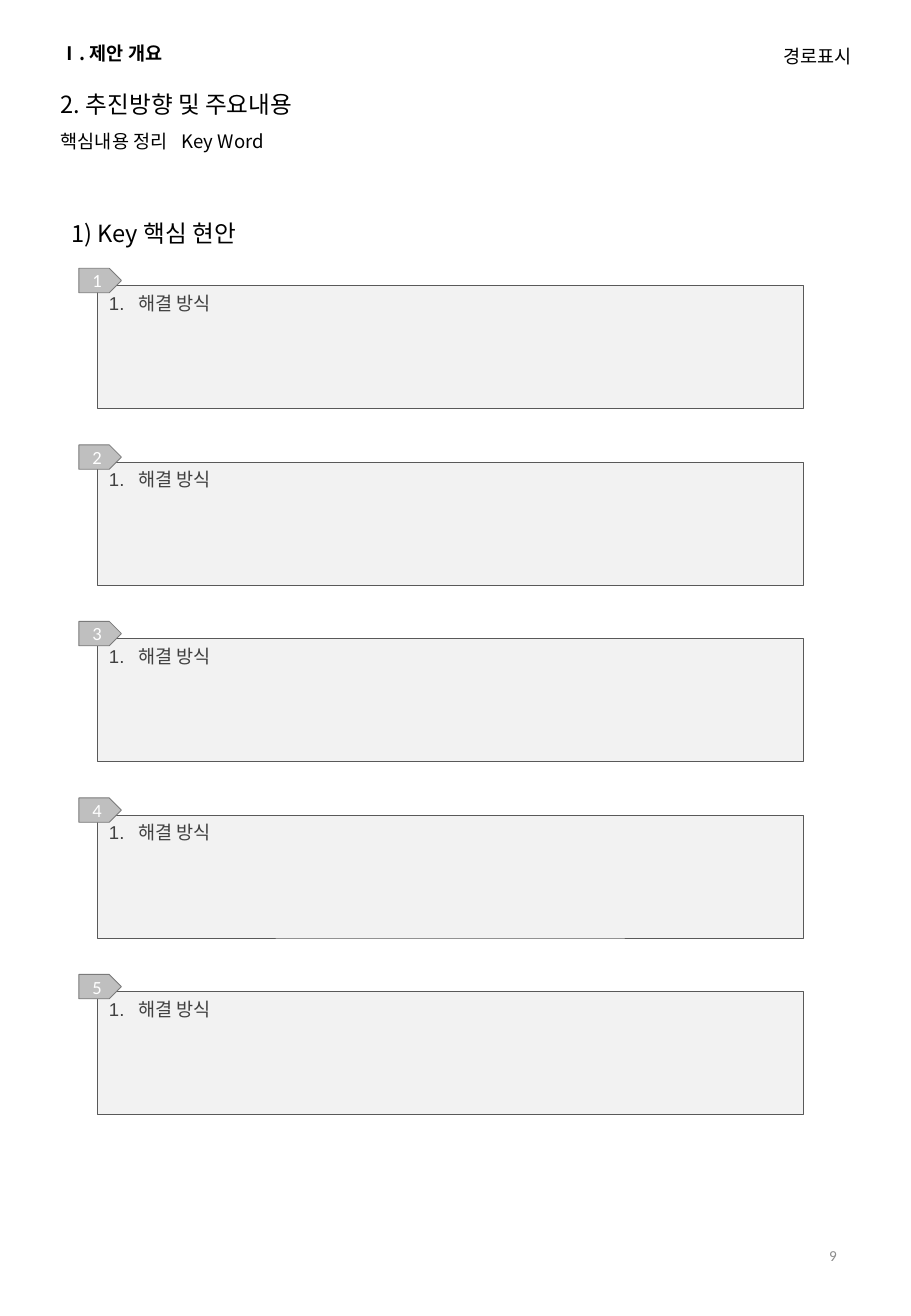
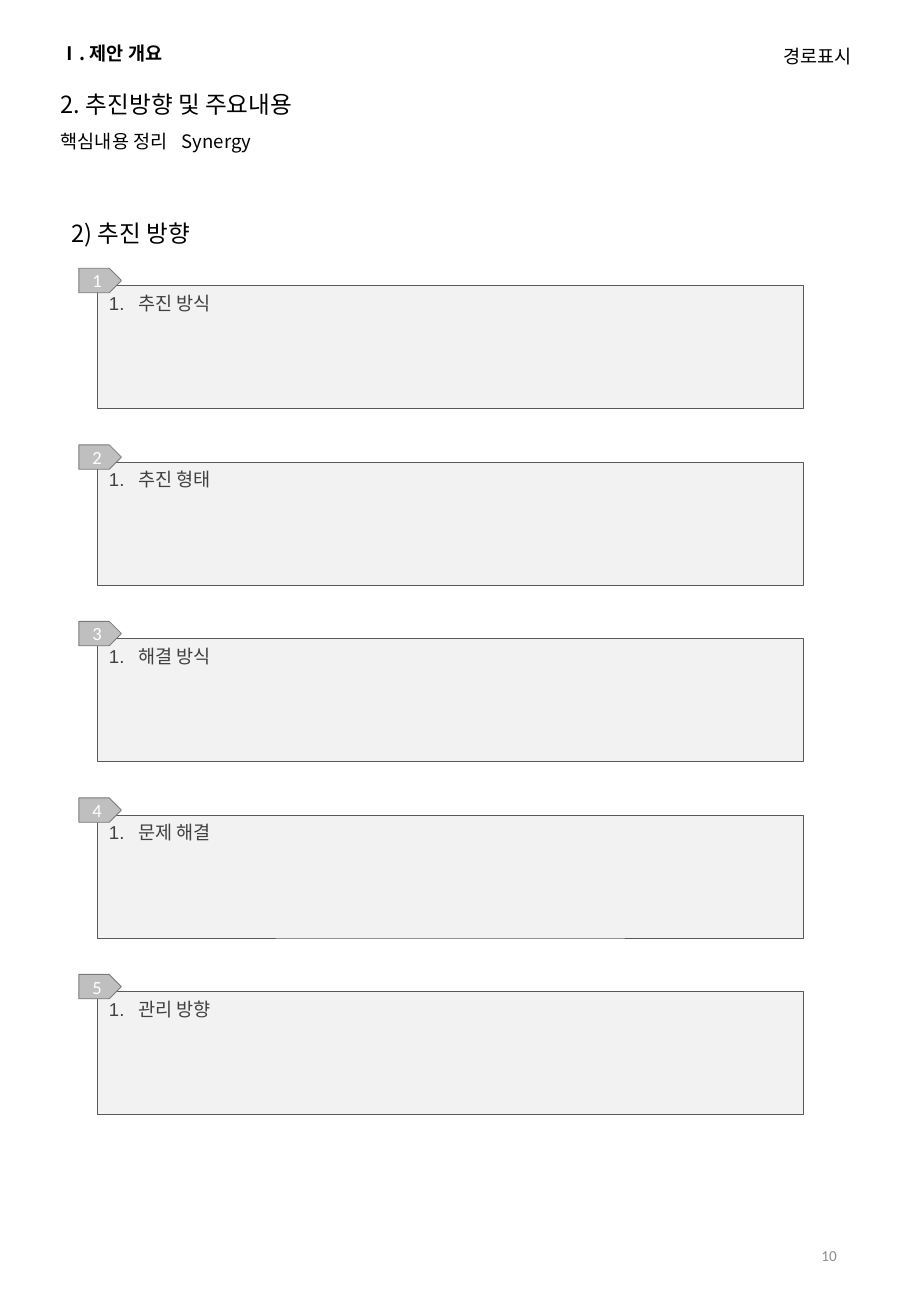
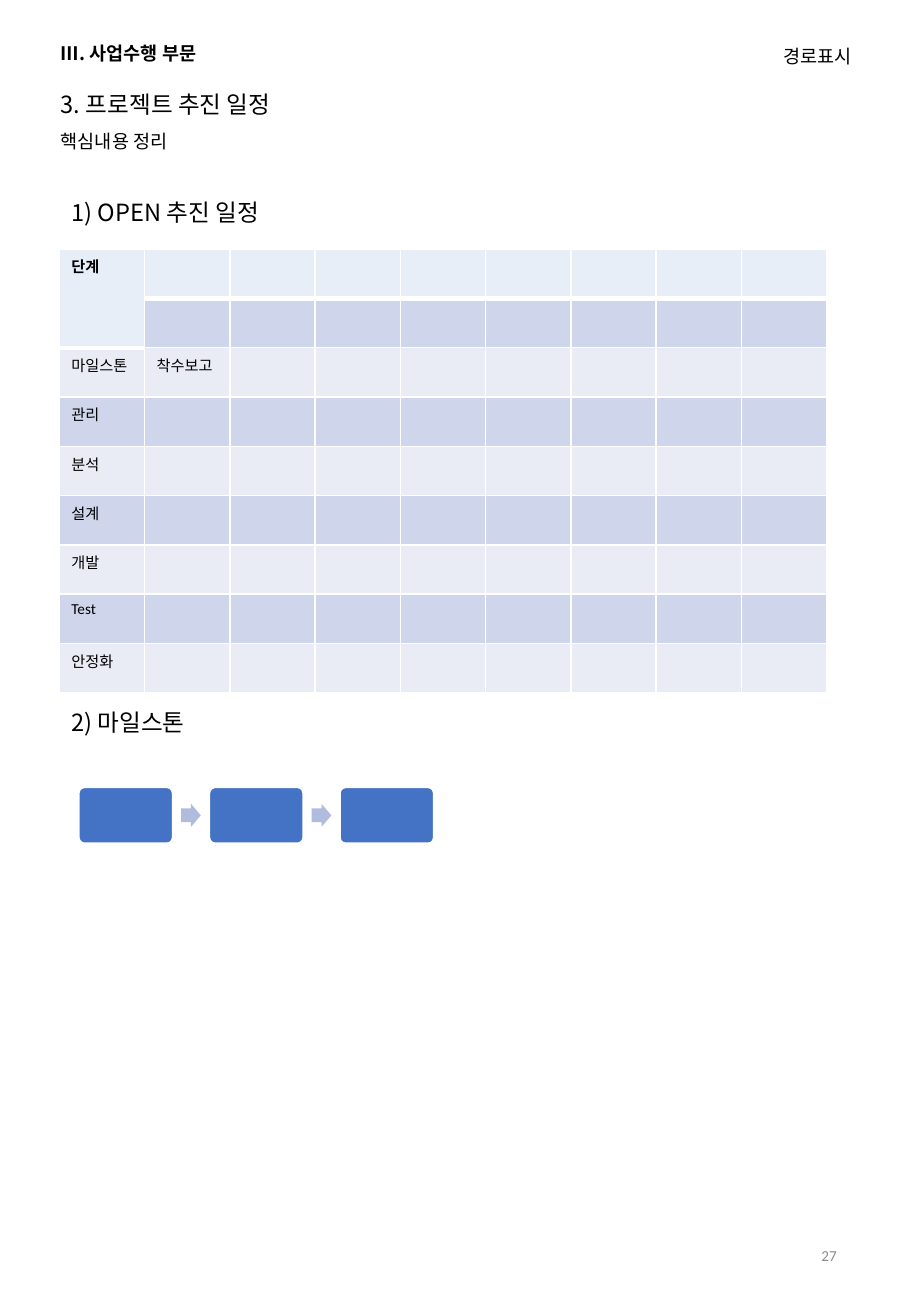
import lxml.etree
import pptx
import pptx.dml.color
import pptx.enum.shapes
import pptx.enum.text
import pptx.oxml.ns
import pptx.util

Cm = pptx.util.Cm
Pt = pptx.util.Pt
ALIGN = pptx.enum.text.PP_ALIGN
ANCHOR = pptx.enum.text.MSO_ANCHOR
SHAPE = pptx.enum.shapes.MSO_SHAPE
qn = pptx.oxml.ns.qn

COLORS = {
    "black": "000000", "white": "FFFFFF", "body": "404040", "page": "8C8C8C",
    "panel": "F2F2F2", "panel_edge": "595959", "tag": "BFBFBF", "tag_edge": "7A7A7A",
    "head_row": "E8EEF8", "dark_row": "CFD5EA", "light_row": "E9EBF5",
    "step": "4472C4", "arrow": "B0BCDE",
}
KOREAN = "Noto Sans CJK KR"
STYLES = {
    "chapter": {"name": "Noto Sans CJK JP", "size": Pt(11), "bold": True, "color": "black"},
    "title": {"name": KOREAN, "size": Pt(14), "bold": False, "color": "black"},
    "note": {"name": KOREAN, "size": Pt(11), "bold": False, "color": "black"},
    "body": {"name": "Arial", "size": Pt(11), "bold": False, "color": "body"},
    "tag": {"name": "Calibri", "size": Pt(11), "bold": False, "color": "white"},
    "page": {"name": "Calibri", "size": Pt(9), "bold": False, "color": "page"},
    "cell": {"name": "Calibri", "size": Pt(9), "bold": False, "color": "black"},
    "cell_head": {"name": "Calibri", "size": Pt(9), "bold": True, "color": "black"},
}
STAGES = ["마일스톤", "관리", "분석", "설계", "개발", "Test", "안정화"]


def rgb(color):
    """Return the named colour."""
    return pptx.dml.color.RGBColor.from_string(COLORS[color])


def write(frame, text, style, align=ALIGN.LEFT, tab=None, hanging=None):
    """Write one styled paragraph, with an optional tab stop or hanging indent."""
    paragraph = frame.paragraphs[0]
    paragraph.alignment = align
    properties = paragraph._p.get_or_add_pPr()
    if hanging:
        properties.set("marL", str(Cm(hanging)))
        properties.set("indent", str(-Cm(hanging)))
    if tab:
        stops = lxml.etree.SubElement(properties, qn("a:tabLst"))
        lxml.etree.SubElement(stops, qn("a:tab"), pos=str(Cm(tab)), algn="l")
    run = paragraph.add_run()
    run.text = text
    for attribute, value in STYLES[style].items():
        if attribute == "color":
            run.font.color.rgb = rgb(value)
        else:
            setattr(run.font, attribute, value)
    east_asian = STYLES[style]["name"] if style == "chapter" else KOREAN
    lxml.etree.SubElement(run._r.get_or_add_rPr(), qn("a:ea"), typeface=east_asian)


def add_label(slide, box, text, style, align=ALIGN.LEFT, anchor=ANCHOR.TOP, tab=None):
    """Add a wrapped text box."""
    frame = slide.shapes.add_textbox(*map(Cm, box)).text_frame
    frame.word_wrap = True
    frame.vertical_anchor = anchor
    write(frame, text, style, align, tab)


def add_block(slide, kind, box, fill, edge=None, edge_width=1, adjustments=()):
    """Add a flat preset shape."""
    block = slide.shapes.add_shape(kind, *map(Cm, box))
    block.shadow.inherit = False
    block.fill.solid()
    block.fill.fore_color.rgb = rgb(fill)
    if edge:
        block.line.color.rgb = rgb(edge)
        block.line.width = Pt(edge_width)
    else:
        block.line.fill.background()
    for index, value in enumerate(adjustments):
        block.adjustments[index] = value
    return block


def add_frame(deck, chapter, title, note, page):
    """Add a slide with the shared header and page number."""
    slide = deck.slides.add_slide(deck.slide_layouts[6])
    add_label(slide, (1.02, 0.76, 8.69, 0.74), chapter, "chapter")
    add_label(slide, (13.84, 0.81, 4.22, 0.74), "경로표시", "note", ALIGN.RIGHT)
    add_label(slide, (1.02, 1.75, 16.84, 0.86), title, "title")
    add_label(slide, (1.02, 2.59, 16.84, 0.74), note, "note", tab=2.53)
    add_label(slide, (13.46, 25.5, 4.29, 1.47), page, "page", ALIGN.RIGHT, ANCHOR.MIDDLE)
    return slide


def add_panel(slide, box, number, text):
    """Add a text panel with a numbered tag over its top left corner."""
    left, top, width, height = box
    panel = add_block(slide, SHAPE.RECTANGLE, box, "panel", "panel_edge", 0.25)
    panel.text_frame.word_wrap = True
    panel.text_frame.vertical_anchor = ANCHOR.TOP
    write(panel.text_frame, f"1.\t{text}", "body", hanging=0.61)
    tag = add_block(slide, SHAPE.PENTAGON, (left - 0.38, top - 0.36, 0.89, 0.51),
                    "tag", "tag_edge", 0.5)
    frame = tag.text_frame
    for side in ("left", "top", "right", "bottom"):
        setattr(frame, f"margin_{side}", 0)
    frame.vertical_anchor = ANCHOR.MIDDLE
    write(frame, str(number), "tag", ALIGN.CENTER)


def add_panel_slide(deck, note, heading, topics, page):
    """Add a slide with a column of numbered panels."""
    slide = add_frame(deck, "Ⅰ. 제안 개요", "2. 추진방향 및 주요내용", note, page)
    add_label(slide, (1.24, 4.45, 15.54, 0.86), heading, "title")
    for index, topic in enumerate(topics):
        add_panel(slide, (2.03, 5.97 + 3.69 * index, 14.76, 2.57), index + 1, topic)


def paint_cell(cell, fill, bottom=1):
    """Give a table cell white borders and a fill."""
    properties = cell._tc.get_or_add_tcPr()
    for side, width in {"L": 1, "R": 1, "T": 1, "B": bottom}.items():
        line = lxml.etree.SubElement(properties, qn(f"a:ln{side}"), w=str(Pt(width)))
        solid = lxml.etree.SubElement(line, qn("a:solidFill"))
        lxml.etree.SubElement(solid, qn("a:srgbClr"), val=COLORS["white"])
    cell.fill.solid()
    cell.fill.fore_color.rgb = rgb(fill)
    cell.margin_bottom = 0


def add_schedule(slide, box, stages, columns=9):
    """Add the schedule grid with a two-row header."""
    left, top, width, height = box
    rows = len(stages) + 2
    table = slide.shapes.add_table(rows, columns, *map(Cm, box)).table
    table.first_row = table.horz_banding = False
    for column in table.columns:
        column.width = Cm(width / columns)
    for row_index, row in enumerate(table.rows):
        row.height = Cm(height / rows)
        band = "dark_row" if row_index % 2 else "light_row"
        for column_index, cell in enumerate(row.cells):
            heading = row_index == 0 or (row_index == 1 and column_index == 0)
            paint_cell(cell, "head_row" if heading else band, 3 if heading else 1)
    table.cell(0, 0).merge(table.cell(1, 0))
    write(table.cell(0, 0).text_frame, "단계", "cell_head")
    for row_index, stage in enumerate(stages, 2):
        write(table.cell(row_index, 0).text_frame, stage, "cell")
    write(table.cell(2, 1).text_frame, "착수보고", "cell")


def add_steps(slide, box, count=3):
    """Add a row of empty steps joined by block arrows."""
    left, top, width, height = box
    step_width, arrow_width, arrow_height = 1.96, 0.41, 0.48
    pitch = (width - step_width) / (count - 1)
    for index in range(count):
        step_left = left + pitch * index
        add_block(slide, SHAPE.ROUNDED_RECTANGLE, (step_left, top, step_width, height),
                  "step", "white", 1, (0.1,))
        if index < count - 1:
            arrow_left = step_left + (step_width + pitch - arrow_width) / 2
            arrow_top = top + (height - arrow_height) / 2
            add_block(slide, SHAPE.RIGHT_ARROW,
                      (arrow_left, arrow_top, arrow_width, arrow_height),
                      "arrow", adjustments=(0.6, 0.5))


def add_schedule_slide(deck):
    """Add the slide with the schedule and the milestones."""
    slide = add_frame(deck, "Ⅲ. 사업수행 부문", "3. 프로젝트 추진 일정", "핵심내용 정리", "27")
    for top, heading in ((4.01, "1) OPEN 추진 일정"), (14.68, "2) 마일스톤")):
        add_label(slide, (1.24, top, 16.05, 0.86), heading, "title")
    add_schedule(slide, (1.24, 5.21, 16.05, 9.27), STAGES)
    add_steps(slide, (1.65, 16.46, 7.42, 1.17))


def main():
    """Build and save the deck."""
    deck = pptx.Presentation()
    deck.slide_width, deck.slide_height = Cm(19.05), Cm(27.51)
    add_panel_slide(deck, "핵심내용 정리\tKey Word", "1) Key 핵심 현안", ["해결 방식"] * 5, "9")
    add_panel_slide(deck, "핵심내용 정리\tSynergy", "2) 추진 방향",
                    ["추진 방식", "추진 형태", "해결 방식", "문제 해결", "관리 방향"], "10")
    add_schedule_slide(deck)
    deck.save("out.pptx")


if __name__ == "__main__":
    main()
